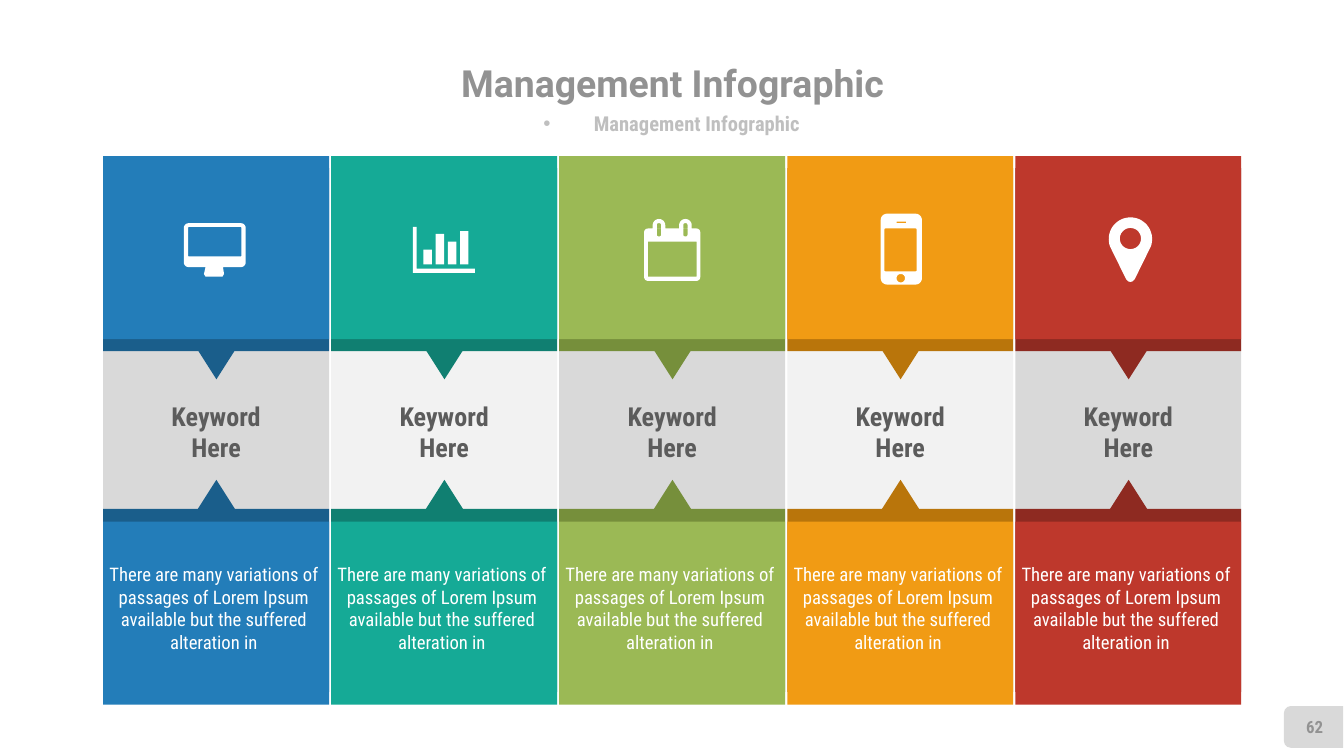
import math

from pptx import Presentation
from pptx import util as u
from pptx.dml import color
from pptx.enum import shapes, text
from pptx.oxml import ns

Cm, Pt = u.Cm, u.Pt
KIND = shapes.MSO_SHAPE
MIDDLE, TOP = text.MSO_ANCHOR.MIDDLE, text.MSO_ANCHOR.TOP

HUES = {
    "title": "929292", "sub": "BFBFBF", "word": "5C5C5C", "white": "FFFFFF",
    "gray": "D9D9D9", "pale": "F2F2F2",
    "blue": "237DB9", "blue dark": "1A5E8B",
    "teal": "15AA96", "teal dark": "107F71",
    "green": "9BB955", "green dark": "768F3B",
    "gold": "F19B14", "gold dark": "B9750B",
    "red": "BE382C", "red dark": "8E2A21",
}
LEFT, PITCH, WIDE, HIGH = 1.95, 4.31, 4.27, 3.46
CENTER = 4.71
CONDENSED = "Roboto Condensed"
BLURB = ("There are many variations of passages of Lorem Ipsum "
         "available but the suffered\valteration in")


def rgb(hue):
    return color.RGBColor.from_string(HUES[hue])


def place(item, x, y, w, h):
    item.left, item.top, item.width, item.height = Cm(x), Cm(y), Cm(w), Cm(h)


def paint(shape, hue):
    shape.shadow.inherit = False
    shape.fill.solid()
    shape.fill.fore_color.rgb = rgb(hue)
    shape.line.fill.background()


def add_block(slide, kind, x, y, w, h, hue, turn=0):
    shape = slide.shapes.add_shape(kind, Cm(x), Cm(y), Cm(w), Cm(h))
    shape.rotation = turn
    paint(shape, hue)


def write(shape, words, size, hue, font=CONDENSED, bold=True,
          wrap=True, anchor=MIDDLE, inset=None):
    frame = shape.text_frame
    frame.text = words
    frame.word_wrap = wrap
    frame.auto_size = text.MSO_AUTO_SIZE.NONE
    frame.vertical_anchor = anchor
    if inset is not None:
        frame.margin_left = frame.margin_right = Cm(inset)
        frame.margin_top = frame.margin_bottom = 0
    para = frame.paragraphs[0]
    para.alignment = text.PP_ALIGN.CENTER
    para.space_before = Pt(0)
    para.font.name, para.font.size, para.font.bold = font, Pt(size), bold
    para.font.color.rgb = rgb(hue)


def add_text(slide, box, *args, **style):
    write(slide.shapes.add_textbox(*map(Cm, box)), *args, **style)


def arc(x, y, r, start, end, steps):
    angles = [math.radians(start + (end - start) * i / steps)
              for i in range(steps + 1)]
    return [(x + r * math.cos(a), y + r * math.sin(a)) for a in angles]


def disc(x, y, r):
    return arc(x, y, r, 0, 360, 36)


def box(l, t, r, b, curve=0):
    if not curve:
        return [(l, t), (r, t), (r, b), (l, b)]
    spots = [(r - curve, b - curve), (l + curve, b - curve),
             (l + curve, t + curve), (r - curve, t + curve)]
    return [point for i, (x, y) in enumerate(spots)
            for point in arc(x, y, curve, 90 * i, 90 * i + 90, 6)]


def screen():
    stand = [(-2, 3.4), (1.3, 3.4), (1.5, 4.7), (1.2, 5.2), (-2, 5.2), (-2.3, 4.7)]
    return [box(-6.1, -4.9, 5.6, 3.4, 0.9), box(-5.3, -4.2, 4.8, 1.4, 0.2), stand]


def bars():
    axis = [(-5.9, -4.2), (-5.2, -4.2), (-5.2, 3.7), (5.8, 3.7), (5.8, 4.5), (-5.9, 4.5)]
    tops = [0.1, -2.9, -1.4, -3.4]
    return [axis] + [box(-3.9 + 2.3 * i, top, -2.3 + 2.3 * i, 2.9)
                     for i, top in enumerate(tops)]


def dates():
    paths = [box(-5.3, -3.9, 5.3, 6, 0.7), box(-4.6, -1.4, 4.6, 5.2)]
    for x in (-2.5, 2.5):
        paths.append([(x - 1.2, -3.9)] + arc(x, -4.5, 1.2, 180, 360, 12)
                     + [(x + 1.2, -3.9)])
        paths.append(box(x - 0.4, -4.9, x + 0.4, -2.4, 0.3))
    return paths


def phone():
    return [box(-3.7, -6.7, 4.1, 6.7, 1.2), box(-3, -3.9, 3.1, 4.2, 0.2),
            box(-0.7, -5.2, 1.1, -4.9), disc(0.1, 5.5, 0.8)]


def pin():
    tip = [(1.2, 5.7), (0.8, 6.1), (0.4, 6.2), (0, 6.1), (-0.4, 5.7)]
    return [arc(0.4, -1.9, 4.1, 160, 380, 36) + tip, disc(0.4, -2, 2)]


def add_icon(slide, mid, paths):
    loops = [[(Cm(mid + x / 10), Cm(CENTER + y / 10)) for x, y in path]
             for path in paths]
    pen = slide.shapes.build_freeform(*loops[0][0])
    pen.add_line_segments(loops[0][1:])
    for loop in loops[1:]:
        pen.move_to(*loop[0])
        pen.add_line_segments(loop[1:])
    paint(pen.convert_to_shape(), "white")


def add_heads(slide):
    title, sub = slide.placeholders
    place(title, 4.88, 1.07, 15.67, 0.99)
    write(title, "Management Infographic", 20, "title", "Roboto",
          wrap=False, inset=0)
    place(sub, 6.98, 2.06, 11.43, 0.56)
    sub.text_frame.text = ""
    props = sub.text_frame.paragraphs[0]._p.get_or_add_pPr()
    props.set("marL", "0")
    props.set("indent", "0")
    props.append(props.makeelement(ns.qn("a:buNone"), {}))
    write(sub, "Management Infographic", 11, "sub", wrap=False, inset=0)


def add_column(slide, x, hue, back, icon):
    mid, dark = x + WIDE / 2, hue + " dark"
    add_block(slide, KIND.RECTANGLE, x, 6.4, WIDE, HIGH, back)
    add_text(slide, (mid - 1.36, 7.85, 2.72, 0.61), "Keyword Here", 14, "word",
             inset=0.2)
    for tip, low, face, turn in ((6.33, 3.18, 2.95, 180), (9.07, 9.62, 9.86, 0)):
        add_block(slide, KIND.ISOSCELES_TRIANGLE, mid - 0.53, tip, 1.07, 0.84,
                  dark, turn)
        add_block(slide, KIND.RECTANGLE, x, low, WIDE, HIGH, dark)
        add_block(slide, KIND.RECTANGLE, x, face, WIDE, HIGH, hue)
    add_icon(slide, mid, icon())
    add_text(slide, (x - 0.22, 10.52, 4.62, 1.96), BLURB, 10, "white",
             bold=False, anchor=TOP)


def main():
    deck = Presentation()
    deck.slide_width, deck.slide_height = Cm(25.4), Cm(14.29)
    slide = deck.slides.add_slide(deck.slide_layouts[1])
    add_block(slide, KIND.ROUND_2_SAME_RECTANGLE, 24.43, 13.18, 0.79, 1.12,
              "gray", 270)
    add_heads(slide)
    add_text(slide, (24.31, 13.36, 1.07, 0.76), "62", 9, "title")
    columns = [("blue", screen), ("teal", bars), ("green", dates),
               ("gold", phone), ("red", pin)]
    for i, (hue, icon) in enumerate(columns):
        back = ("gray", "pale")[i % 2]
        add_column(slide, LEFT + i * PITCH, hue, back, icon)
    deck.save("out.pptx")


if __name__ == "__main__":
    main()
